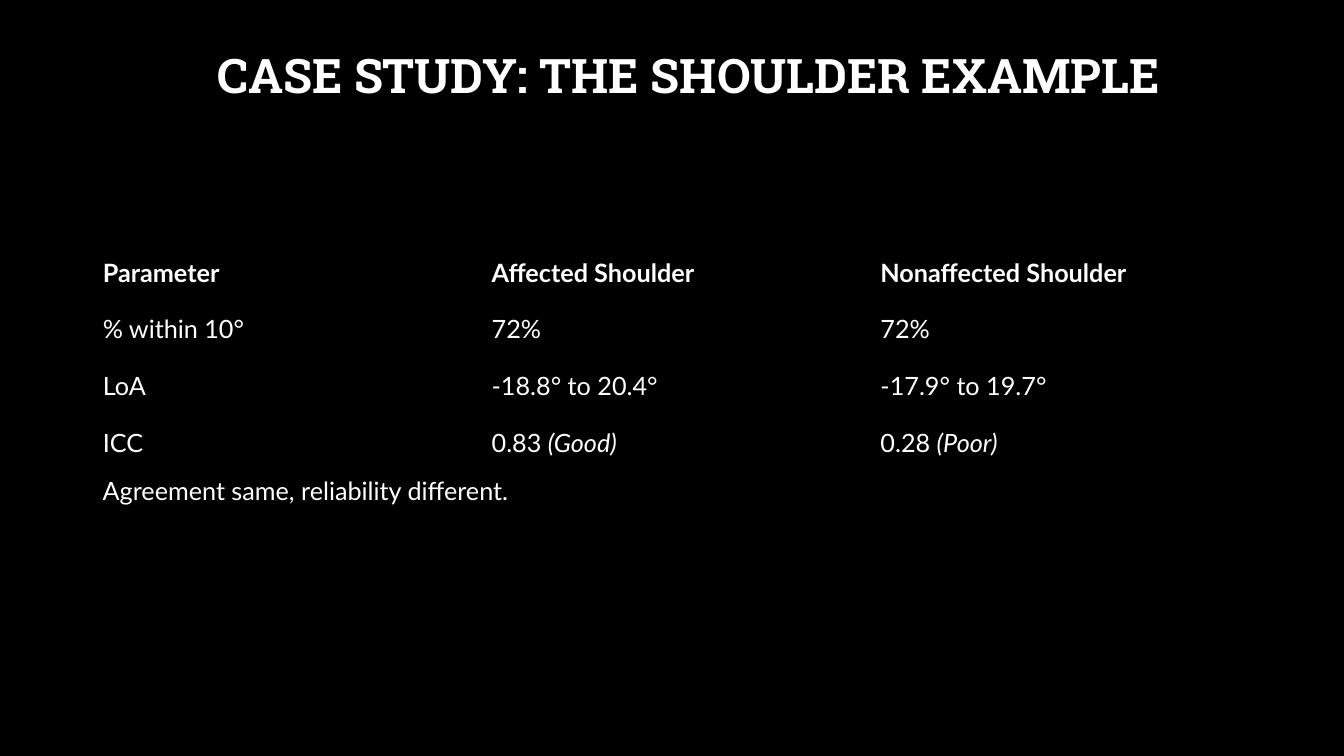
from pptx import Presentation
from pptx.dml.color import RGBColor
from pptx.enum.text import MSO_ANCHOR, PP_ALIGN
from pptx.oxml.ns import qn
from pptx.util import Inches, Pt
from lxml import etree

MIDDLE = MSO_ANCHOR.MIDDLE
CENTER = PP_ALIGN.CENTER

WIDTH, HEIGHT = 13.33, 7.5
LEFT, RIGHT = 0.92, 12.49
TABLE_TOP, ROW_HEIGHT = 2.42, 0.5625
BLACK, WHITE = "000000", "FFFFFF"
HEADING_FONT, BODY_FONT = "Roboto Slab", "Lato"

# Each cell is a value, with an optional rating set in italics
RESULTS = [
    [("Parameter",), ("Affected Shoulder",), ("Nonaffected Shoulder",)],
    [("% within 10°",), ("72%",), ("72%",)],
    [("LoA",), ("-18.8° to 20.4°",), ("-17.9° to 19.7°",)],
    [("ICC",), ("0.83 ", "(Good)"), ("0.28 ", "(Poor)")],
]


def color(value):
    return RGBColor.from_string(value)


def style_span(span, font, size, bold=False, italic=False):
    span.font.name = font
    span.font.size = Pt(size)
    span.font.bold = bold
    span.font.italic = italic
    span.font.color.rgb = color(WHITE)


def add_text(page, box, text, font, size, bold=False):
    frame = page.shapes.add_textbox(*map(Inches, box)).text_frame
    frame.word_wrap = True
    frame.text = text
    style_span(frame.paragraphs[0].runs[0], font, size, bold)
    return frame


def add_title(page, box, text):
    frame = add_text(page, box, text, HEADING_FONT, 34, bold=True)
    frame.vertical_anchor = MIDDLE
    frame.paragraphs[0].alignment = CENTER
    frame.paragraphs[0].line_spacing = 0.9


def clear_cell(cell):
    """Remove the borders and fill of a table cell."""
    properties = cell._tc.get_or_add_tcPr()
    for side in ("a:lnL", "a:lnR", "a:lnT", "a:lnB"):
        border = etree.SubElement(properties, qn(side), w="0")
        etree.SubElement(border, qn("a:noFill"))
    cell.fill.background()


def add_results(page, box, rows):
    table = page.shapes.add_table(len(rows), len(rows[0]), *map(Inches, box)).table
    table.horz_banding = False
    for row_index, row in enumerate(rows):
        for column_index, parts in enumerate(row):
            cell = table.cell(row_index, column_index)
            clear_cell(cell)
            cell.vertical_anchor = MIDDLE
            para = cell.text_frame.paragraphs[0]
            for part_index, part in enumerate(parts):
                span = para.add_run()
                span.text = part
                style_span(span, BODY_FONT, 18, bold=row_index == 0,
                           italic=part_index > 0)


def main():
    deck = Presentation()
    deck.slide_width, deck.slide_height = Inches(WIDTH), Inches(HEIGHT)
    page = deck.slides.add_slide(deck.slide_layouts[6])
    page.background.fill.solid()
    page.background.fill.fore_color.rgb = color(BLACK)

    # Title
    add_title(page, (1.17, 0.05, RIGHT - 1.17, 1.45),
              "CASE STUDY: THE SHOULDER EXAMPLE")

    # Results table, with the conclusion directly below
    table_height = ROW_HEIGHT * len(RESULTS)
    add_results(page, (LEFT, TABLE_TOP, RIGHT - LEFT, table_height), RESULTS)
    add_text(page, (LEFT, TABLE_TOP + table_height, WIDTH / 2, 0.4),
             "Agreement same, reliability different.", BODY_FONT, 18)

    deck.save("out.pptx")


if __name__ == "__main__":
    main()
